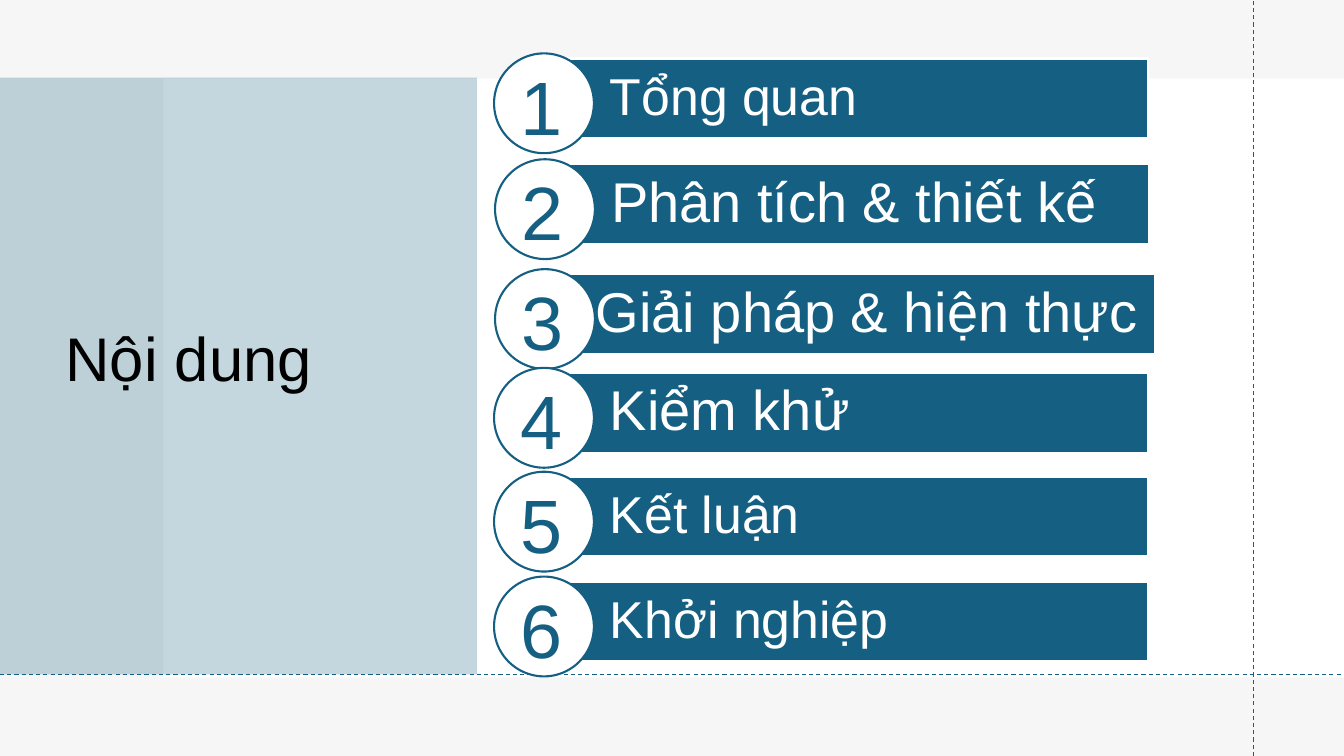
from lxml import etree
from pptx import Presentation
from pptx.dml.color import RGBColor
from pptx.enum.dml import MSO_LINE
from pptx.enum.shapes import MSO_CONNECTOR, MSO_SHAPE
from pptx.enum.text import MSO_ANCHOR, PP_ALIGN
from pptx.oxml.ns import qn
from pptx.util import Inches, Pt

WHITE = RGBColor(0xFF, 0xFF, 0xFF)
BLACK = RGBColor(0, 0, 0)
GRAY = RGBColor(0xE8, 0xE8, 0xE8)
TEAL = RGBColor(0x15, 0x60, 0x82)
RECTANGLE, OVAL = MSO_SHAPE.RECTANGLE, MSO_SHAPE.OVAL
STRAIGHT = MSO_CONNECTOR.STRAIGHT
DASH = MSO_LINE.DASH
TOP, MIDDLE = MSO_ANCHOR.TOP, MSO_ANCHOR.MIDDLE
LEFT, CENTER = PP_ALIGN.LEFT, PP_ALIGN.CENTER

WIDTH, HEIGHT = 13.33, 7.5
TOPICS = [
    ("Tổng quan", 37, 4.9, 5.28, 0.58, 0.77),
    ("Phân tích & thiết kế", 40, 4.91, 5.29, 1.63, 0.77),
    ("Giải pháp & hiện thực", 40, 4.91, 5.35, 2.72, 0.56),
    ("Kiểm khử", 40, 4.9, 5.28, 3.7, 0.77),
    ("Kết luận", 37, 4.9, 5.28, 4.73, 0.77),
    ("Khởi nghiệp", 37, 4.9, 5.28, 5.77, 0.77),
]


class AgendaPage:
    font = "Arial"

    def __init__(self, page):
        self.page = page

    def shape(self, kind, left, top, width, height, fill, line=None, opacity=100):
        shape = self.page.shapes.add_shape(
            kind, Inches(left), Inches(top), Inches(width), Inches(height))
        shape.shadow.inherit = False
        shape.fill.solid()
        shape.fill.fore_color.rgb = fill
        if opacity < 100:
            color = shape._element.spPr.find(".//" + qn("a:srgbClr"))
            etree.SubElement(color, qn("a:alpha"), val=str(opacity * 1000))
        if line is None:
            shape.line.fill.background()
        else:
            shape.line.color.rgb = line
            shape.line.width = Pt(1.5)
        return shape

    def guide(self, start, end):
        guide = self.page.shapes.add_connector(
            STRAIGHT, *(Inches(value) for value in start + end))
        guide.line.color.rgb = TEAL
        guide.line.width = Pt(0.75)
        guide.line.dash_style = DASH
        etree.SubElement(guide._element.spPr, qn("a:effectLst"))

    def set_text(self, box, text, size, color, align=LEFT, anchor=MIDDLE,
                 spacing=0.9, wrap=True, left_inset=0.1):
        frame = box.text_frame
        frame.word_wrap = wrap
        frame.vertical_anchor = anchor
        frame.margin_left = Inches(left_inset)
        frame.margin_right = Inches(0.1)
        para = frame.paragraphs[0]
        para.alignment = align
        para.line_spacing = spacing
        span = para.add_run()
        span.text = text
        span.font.name = self.font
        span.font.size = Pt(size)
        span.font.color.rgb = color

    def text(self, text, left, top, width, height, **style):
        box = self.page.shapes.add_textbox(
            Inches(left), Inches(top), Inches(width), Inches(height))
        self.set_text(box, text, **style)

    def topic(self, number, label, size, circle_left, bar_left, top, inset):
        bar = self.shape(RECTANGLE, bar_left, top, 6.11, 0.79, TEAL, WHITE)
        self.set_text(bar, label, size, WHITE, left_inset=inset)
        self.shape(OVAL, circle_left, top - 0.05, 0.99, 0.99, WHITE, TEAL)
        self.text(str(number), circle_left + 0.16, top - 0.04, 0.62, 1.01,
                  size=54, color=TEAL, align=CENTER, anchor=TOP,
                  spacing=1.0, wrap=False)


def main():
    deck = Presentation()
    deck.slide_width, deck.slide_height = Inches(WIDTH), Inches(HEIGHT)
    agenda = AgendaPage(deck.slides.add_slide(deck.slide_layouts[6]))
    agenda.shape(RECTANGLE, 0, 0, WIDTH, HEIGHT, WHITE)
    agenda.shape(RECTANGLE, 0, 0, WIDTH, HEIGHT, GRAY, opacity=35)
    agenda.shape(RECTANGLE, 1.62, 0.78, 11.72, 5.94, WHITE)
    agenda.shape(RECTANGLE, 0, 0.77, 4.73, 5.92, TEAL, opacity=25)
    agenda.text("Nội dung", 0.55, 0.74, 3.95, 5.69, size=44, color=BLACK)
    agenda.guide((12.43, HEIGHT), (12.43, 0))
    agenda.guide((0, 6.69), (WIDTH, 6.69))
    for number, topic in enumerate(TOPICS, start=1):
        agenda.topic(number, *topic)
    deck.save("out.pptx")


if __name__ == "__main__":
    main()
